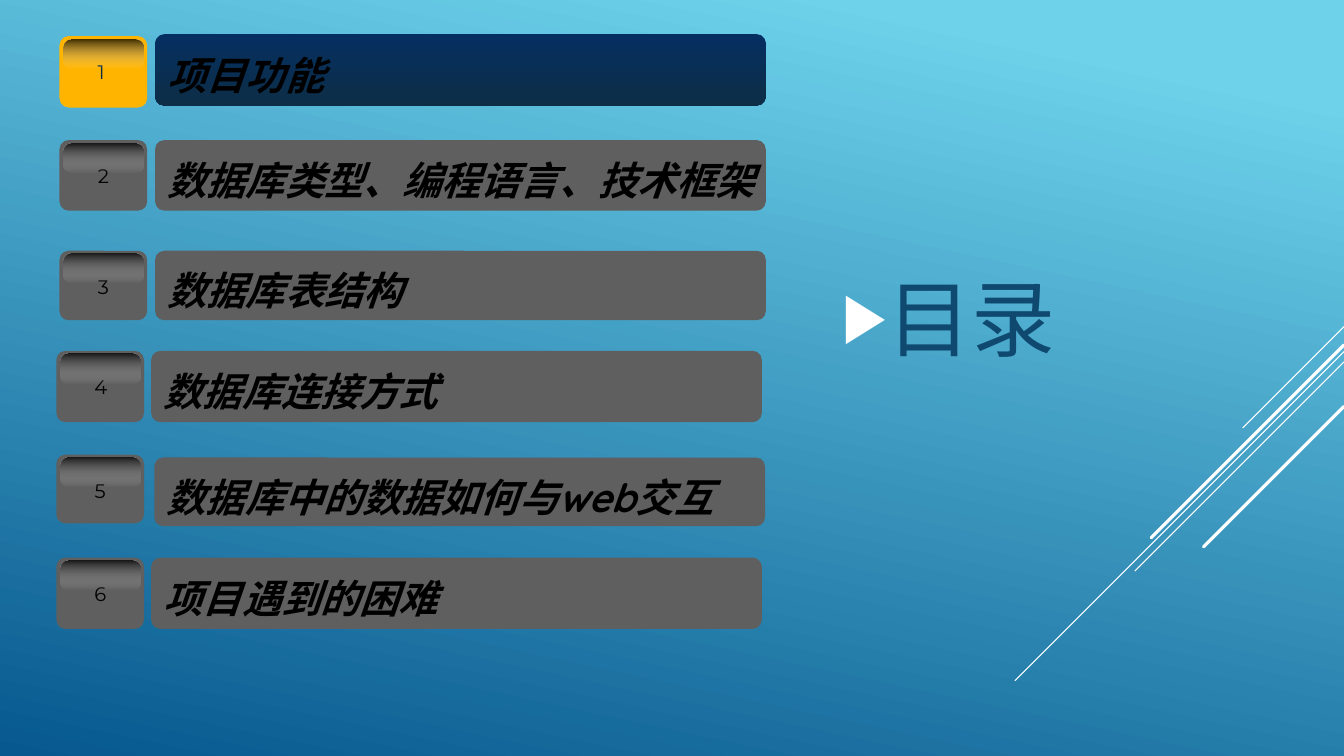
from lxml import etree
from pptx import Presentation
from pptx import util as u
from pptx.dml.color import RGBColor
from pptx.enum import shapes, text
from pptx.oxml import ns

WHITE = RGBColor(0xFF, 0xFF, 0xFF)
BLACK = RGBColor(0x00, 0x00, 0x00)
SKY = RGBColor(0x6E, 0xD2, 0xEB)
OCEAN = RGBColor(0x06, 0x58, 0x8E)
NAVY = RGBColor(0x05, 0x2F, 0x61)
INK = RGBColor(0x0D, 0x2E, 0x46)
HEADING = RGBColor(0x0F, 0x49, 0x6F)
AMBER = RGBColor(0xFF, 0xB4, 0x00)
GREY = RGBColor(0x5F, 0x5F, 0x5F)

PAGE_WIDTH = 33.87
BAR_WIDTH = 15.39
BADGE_WIDTH = 2.21


def paint_gradient(fill, colours, angle, start=0):
    fill.gradient()
    fill.gradient_angle = angle
    for stop, colour, position in zip(fill.gradient_stops, colours, (start, 1)):
        stop.color.rgb = colour
        stop.position = position


def add_rounded(group, left, top, width, height, corner):
    box = group.shapes.add_shape(
        shapes.MSO_SHAPE.ROUNDED_RECTANGLE,
        u.Cm(left), u.Cm(top), u.Cm(width), u.Cm(height))
    box.adjustments[0] = corner
    box.shadow.inherit = False
    box.line.fill.background()
    return box


deck = Presentation()
deck.slide_width = u.Cm(PAGE_WIDTH)
deck.slide_height = u.Cm(19.05)
page = deck.slides.add_slide(deck.slide_layouts[1])
paint_gradient(page.background.fill, (SKY, OCEAN), 258, 0.1)

title = page.shapes.title
title.element.getparent().remove(title.element)

diagonals = [
    (8.23, 31.32, 0.75),
    (8.86, 25.58, 0.75),
    (9.12, 28.6, 0.75),
    (8.69, 29.01, 2.25),
    (10.24, 30.33, 2.25),
]
for edge_y, end_x, weight in diagonals:
    diagonal = page.shapes.add_connector(
        shapes.MSO_CONNECTOR.STRAIGHT, u.Cm(PAGE_WIDTH), u.Cm(edge_y),
        u.Cm(end_x), u.Cm(edge_y + PAGE_WIDTH - end_x))
    diagonal.line.color.rgb = WHITE
    diagonal.line.width = u.Pt(weight)
    diagonal.get_or_add_ln().set("cap", "rnd")
    etree.SubElement(diagonal.element.spPr, ns.qn("a:effectLst"))

heading = page.placeholders[1]
heading.left, heading.top = u.Cm(20.98), u.Cm(6.73)
heading.width, heading.height = u.Cm(10.69), u.Cm(3.56)
frame = heading.text_frame
frame.auto_size = text.MSO_AUTO_SIZE.NONE
frame.vertical_anchor = text.MSO_ANCHOR.MIDDLE
frame.margin_bottom = u.Cm(1.2)
para = frame.paragraphs[0]
para.text = "目录"
para.font.size = u.Pt(60)
para.font.name = "Quicksand"
para.font.color.rgb = HEADING
para.space_before = u.Pt(12)
para.space_after = u.Pt(6)
properties = para._p.get_or_add_pPr()
properties.set("marL", str(u.Cm(0.79)))
properties.set("indent", str(-u.Cm(0.79)))
bullet_xml = (
    f'<a:pPr {ns.nsdecls("a")}><a:buClr><a:srgbClr val="{WHITE}"/></a:buClr>'
    '<a:buSzPct val="80000"/><a:buFont typeface="Arial"/>'
    '<a:buChar char="▶"/></a:pPr>')
default_run = properties.find(ns.qn("a:defRPr"))
for node in list(etree.fromstring(bullet_xml)):
    default_run.addprevious(node)

topics = [
    ("项目功能", 3.91, 0.86, 1.5, 0.91, 1.8),
    ("数据库类型、编程语言、技术框架", 3.91, 3.53, 1.5, 3.53, 1.78),
    ("数据库表结构", 3.91, 6.32, 1.5, 6.32, 1.75),
    ("数据库连接方式", 3.81, 8.84, 1.42, 8.84, 1.8),
    ("数据库中的数据如何与web交互", 3.89, 11.53, 1.42, 11.46, 1.73),
    ("项目遇到的困难", 3.81, 14.05, 1.42, 14.05, 1.8),
]
for number, (topic, bar_left, bar_top, left, top, height) in enumerate(topics, 1):
    current = number == 1
    group = page.shapes.add_group_shape()

    bar = add_rounded(group, bar_left, bar_top, BAR_WIDTH, height, 0.13)
    if current:
        paint_gradient(bar.fill, (NAVY, INK), 270)
    else:
        bar.fill.solid()
        bar.fill.fore_color.rgb = GREY
    bar.text_frame.word_wrap = number > 3
    bar.text_frame.vertical_anchor = text.MSO_ANCHOR.MIDDLE
    para = bar.text_frame.paragraphs[0]
    para.text = topic
    para.alignment = text.PP_ALIGN.LEFT
    para.line_spacing = 1.2
    para.font.size = u.Pt(28)
    para.font.name = "Quicksand"
    para.font.bold = True
    para.font.italic = True
    para.font.color.rgb = BLACK

    badge = add_rounded(group, left, top, BADGE_WIDTH, height, 0.13)
    badge.fill.solid()
    badge.fill.fore_color.rgb = AMBER if current else GREY

    label = group.shapes.add_textbox(
        u.Cm(left + 0.71), u.Cm(top + 0.48),
        u.Cm(0.58 if current else 0.79), u.Cm(0.81))
    label.text_frame.word_wrap = False
    para = label.text_frame.paragraphs[0]
    para.alignment = text.PP_ALIGN.CENTER
    para.font.size = u.Pt(14)
    para.font.name = "Montserrat"
    para.font.color.rgb = INK if current else BLACK
    span = para.add_run()
    span.text = str(number)
    span._r.get_or_add_rPr().set("spc", "-70")

    gloss = add_rounded(group, left + 0.1, top + 0.08, 2.01, height * 0.41, 0.26)
    paint_gradient(gloss.fill, (BLACK, WHITE), 270)
    tints = gloss.element.spPr.iter(ns.qn("a:srgbClr"))
    for tint, opacity in zip(list(tints), (75000, 0)):
        etree.SubElement(tint, ns.qn("a:alpha")).set("val", str(opacity))

deck.save("out.pptx")
